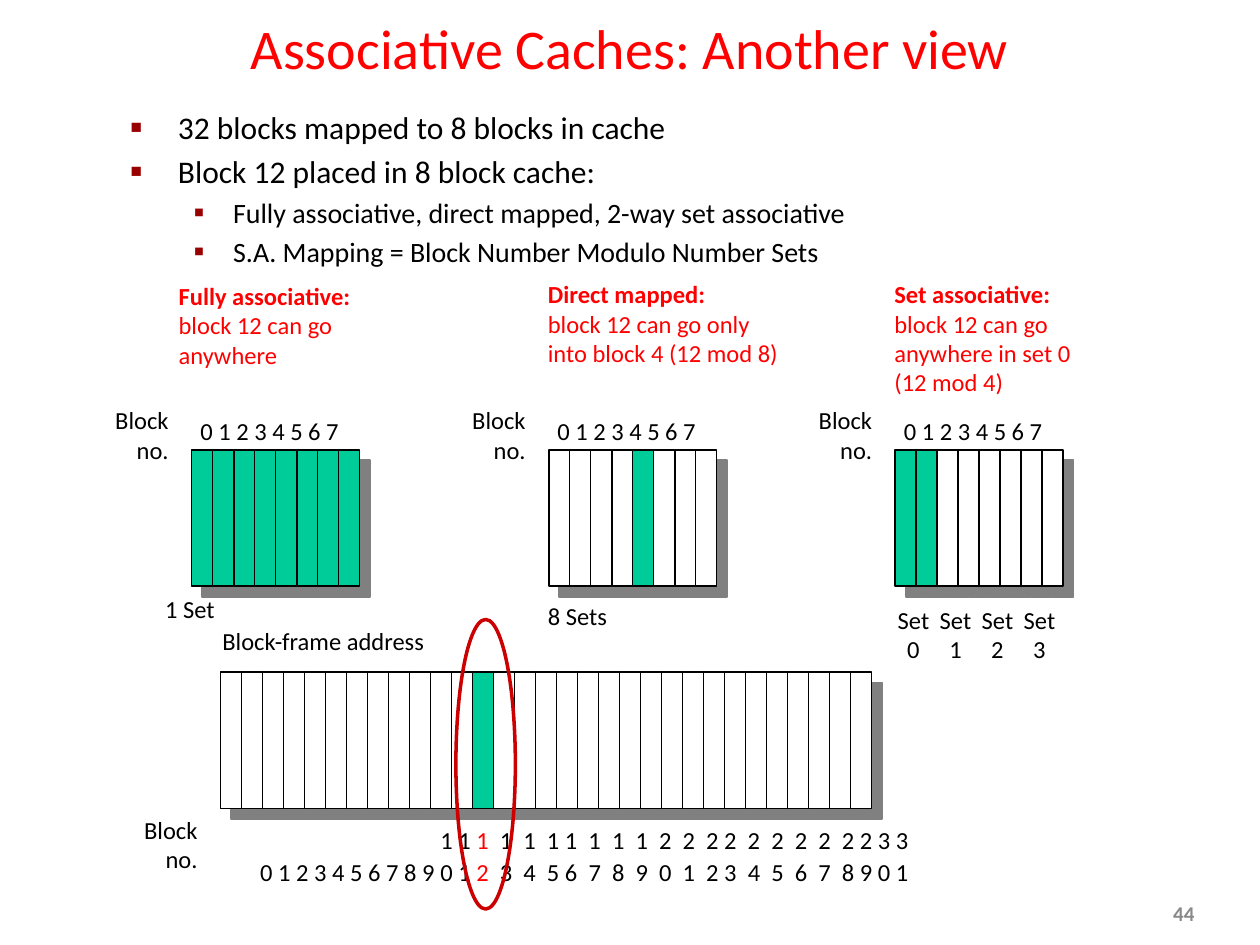
from itertools import accumulate

from lxml import etree
from pptx import Presentation
from pptx.dml.color import RGBColor
from pptx.enum.shapes import MSO_SHAPE
from pptx.enum.text import MSO_ANCHOR, MSO_AUTO_SIZE, PP_ALIGN
from pptx.oxml.ns import qn
from pptx.util import Pt

RECTANGLE, ELLIPSE = MSO_SHAPE.RECTANGLE, MSO_SHAPE.OVAL
MIDDLE = MSO_ANCHOR.MIDDLE
FIXED_SIZE = MSO_AUTO_SIZE.NONE
LEFT, CENTER, RIGHT = PP_ALIGN.LEFT, PP_ALIGN.CENTER, PP_ALIGN.RIGHT

FONT = "Calibri"
BLACK, WHITE, RED, GREEN = "000000", "FFFFFF", "FF0000", "00CC99"
BLOCK_WIDTH, BLOCK_HEIGHT = 12, 78
CHOSEN_BLOCK = 12
WIDE_GAPS = {13, 14, 15, *range(17, 23), *range(24, 29)}
BLOCK_STOPS = list(accumulate(
    (13.45 if block in WIDE_GAPS else 10.3 for block in range(1, 32)), initial=0))


def color(value):
    """Turn a hex string into a colour."""
    return RGBColor.from_string(value)


def place(item, left, top, width, height):
    """Set the box of a shape in points."""
    item.left, item.top, item.width, item.height = map(Pt, (left, top, width, height))


def add_run(paragraph, text, size=14, hue=BLACK, bold=False):
    """Append one formatted run."""
    run = paragraph.add_run()
    run.text = text
    font = run.font
    font.name, font.size, font.bold = FONT, Pt(size), bold
    font.color.rgb = color(hue)


def add_label(slide, box, lines, align=LEFT, wrap=False, **style):
    """Place a text box; each line is a string or a list of (text, style) runs."""
    label = slide.shapes.add_textbox(*map(Pt, box))
    frame = label.text_frame
    frame.word_wrap = wrap
    for index, line in enumerate(lines):
        paragraph = frame.add_paragraph() if index else frame.paragraphs[0]
        paragraph.alignment = align
        for text, run_style in [(line, style)] if isinstance(line, str) else line:
            add_run(paragraph, text, **run_style)
    return label


def add_offset_shadow(shape):
    """Give a shape a solid grey shadow to the lower right."""
    shape.shadow.inherit = False
    effects = shape.element.spPr.find(qn("a:effectLst"))
    shadow = etree.SubElement(effects, qn("a:outerShdw"), dist=str(Pt(8.5)),
                              dir="2700000", algn="ctr", rotWithShape="0")
    etree.SubElement(shadow, qn("a:srgbClr"), val="808080")


def add_blocks(slide, left, top, count, filled):
    """Draw a row of memory blocks with some of them highlighted."""
    for number in range(count):
        block = slide.shapes.add_shape(
            RECTANGLE, Pt(left + number * BLOCK_WIDTH), Pt(top),
            Pt(BLOCK_WIDTH), Pt(BLOCK_HEIGHT))
        block.fill.solid()
        block.fill.fore_color.rgb = color(GREEN if number in filled else WHITE)
        block.line.color.rgb = color(BLACK)
        block.line.width = Pt(1)
        add_offset_shadow(block)


def add_block_no(slide, left, top):
    """Label a row of block numbers."""
    add_label(slide, (left, top, 46, 41), ["Block", "no."], RIGHT)


def add_title(slide, box, text):
    """Fill and place the title."""
    title = slide.shapes.title
    place(title, *box)
    frame = title.text_frame
    frame.auto_size, frame.vertical_anchor = FIXED_SIZE, MIDDLE
    frame.paragraphs[0].alignment = CENTER
    add_run(frame.paragraphs[0], text, 32, RED)


def add_points(slide, box, points):
    """Fill and place the two-level bullet list."""
    level_styles = [(18, 27, 27, "■", 60), (16, 58.5, 22.5, "▪", 110)]
    body = slide.placeholders[1]
    place(body, *box)
    frame = body.text_frame
    frame.auto_size = FIXED_SIZE
    for index, (level, text) in enumerate(points):
        size, margin, hang, mark, scale = level_styles[level]
        paragraph = frame.add_paragraph() if index else frame.paragraphs[0]
        paragraph.level = level
        paragraph.space_before = Pt(size * 0.2 if index else 0)
        properties = paragraph._p.get_or_add_pPr()
        properties.set("marL", str(Pt(margin)))
        properties.set("indent", str(Pt(-hang)))
        bullet_color = etree.SubElement(properties, qn("a:buClr"))
        etree.SubElement(bullet_color, qn("a:srgbClr"), val="990000")
        etree.SubElement(properties, qn("a:buSzPct"), val=str(scale * 1000))
        etree.SubElement(properties, qn("a:buChar"), char=mark)
        add_run(paragraph, text, size)


def add_cache(slide, left, top, filled, caption_box, heading, rule):
    """Draw one eight-block cache with its caption and block numbers."""
    caption_left, caption_top, caption_width = caption_box
    add_label(slide, (left + caption_left, top + caption_top, caption_width, 58),
              [[(heading, {"hue": RED, "bold": True})], [(rule, {"hue": RED})]],
              wrap=True)
    add_block_no(slide, left - 52, top + 72)
    add_label(slide, (left - 2, top + 78, 94.5, 24.5), ["0 1 2 3 4 5 6 7"])
    add_blocks(slide, left, top + 101, 8, filled)


def add_set_labels(slide, left, top):
    """Name the four sets under the set-associative cache."""
    for number in range(4):
        add_label(slide, (left + number * 2 * BLOCK_WIDTH, top, 33, 41),
                  ["Set", str(number)], CENTER)


def add_number_row(slide, left, top, first, digit):
    """Write one digit of every block number, spaced by tab stops."""
    before = "\t".join(digit(n) for n in range(first, CHOSEN_BLOCK)) + "\t"
    after = "\t" + "\t".join(digit(n) for n in range(CHOSEN_BLOCK + 1, 32))
    start = BLOCK_STOPS[first]
    row = add_label(slide, (left + start, top, 400, 24.5),
                    [[(before, {}), (digit(CHOSEN_BLOCK), {"hue": RED}), (after, {})]],
                    wrap=True)
    properties = row.text_frame.paragraphs[0]._p.get_or_add_pPr()
    stops = etree.SubElement(properties, qn("a:tabLst"))
    for stop in BLOCK_STOPS[first + 1:]:
        etree.SubElement(stops, qn("a:tab"), pos=str(Pt(stop - start)), algn="l")


def add_memory(slide, left, top):
    """Draw main memory, its block numbers and the ring round block 12."""
    add_label(slide, (left - 6, top, 133, 24.5), ["Block-frame address"])
    add_blocks(slide, left, top + 30, 31, {CHOSEN_BLOCK})
    add_block_no(slide, left - 52, top + 108)
    add_number_row(slide, left + 15.5, top + 114, 10, lambda n: str(n // 10))
    add_number_row(slide, left + 15.5, top + 132, 0, lambda n: str(n % 10))
    ring = slide.shapes.add_shape(ELLIPSE, Pt(left + 134.5), Pt(top), Pt(34), Pt(165.5))
    ring.fill.background()
    ring.line.color.rgb = color("CC0000")
    ring.line.width = Pt(2)
    ring.shadow.inherit = False


def main():
    """Build the slide."""
    deck = Presentation()
    deck.slide_width, deck.slide_height = Pt(720), Pt(540)
    slide = deck.slides.add_slide(deck.slide_layouts[1])
    add_title(slide, (54, -18, 612, 90), "Associative Caches: Another view")
    add_points(slide, (67.5, 58, 564, 92), [
        (0, "32 blocks mapped to 8 blocks in cache"),
        (0, "Block 12 placed in 8 block cache:"),
        (1, "Fully associative, direct mapped, 2-way set associative"),
        (1, "S.A. Mapping = Block Number Modulo Number Sets"),
    ])
    add_cache(slide, 109.5, 156, range(8), (-14.5, 1, 133),
              "Fully associative:", "block 12 can go anywhere")
    add_cache(slide, 313.5, 156, {4}, (-7.5, 0, 147),
              "Direct mapped:", "block 12 can go only into block 4 (12 mod 8)")
    add_cache(slide, 511.5, 156, {0, 1}, (-7.5, 0, 133),
              "Set associative:", "block 12 can go anywhere in set 0 (12 mod 4)")
    add_label(slide, (87, 336, 43, 24.5), ["1 Set"], CENTER)
    add_label(slide, (305.5, 340, 49, 24.5), ["8 Sets"], CENTER)
    add_set_labels(slide, 505.5, 342)
    add_memory(slide, 126, 354)
    page = add_label(slide, (662, 511, 29, 22), ["44"], CENTER,
                     size=12, hue="898989", bold=True)
    page.text_frame.vertical_anchor = MIDDLE
    deck.save("out.pptx")


if __name__ == "__main__":
    main()
